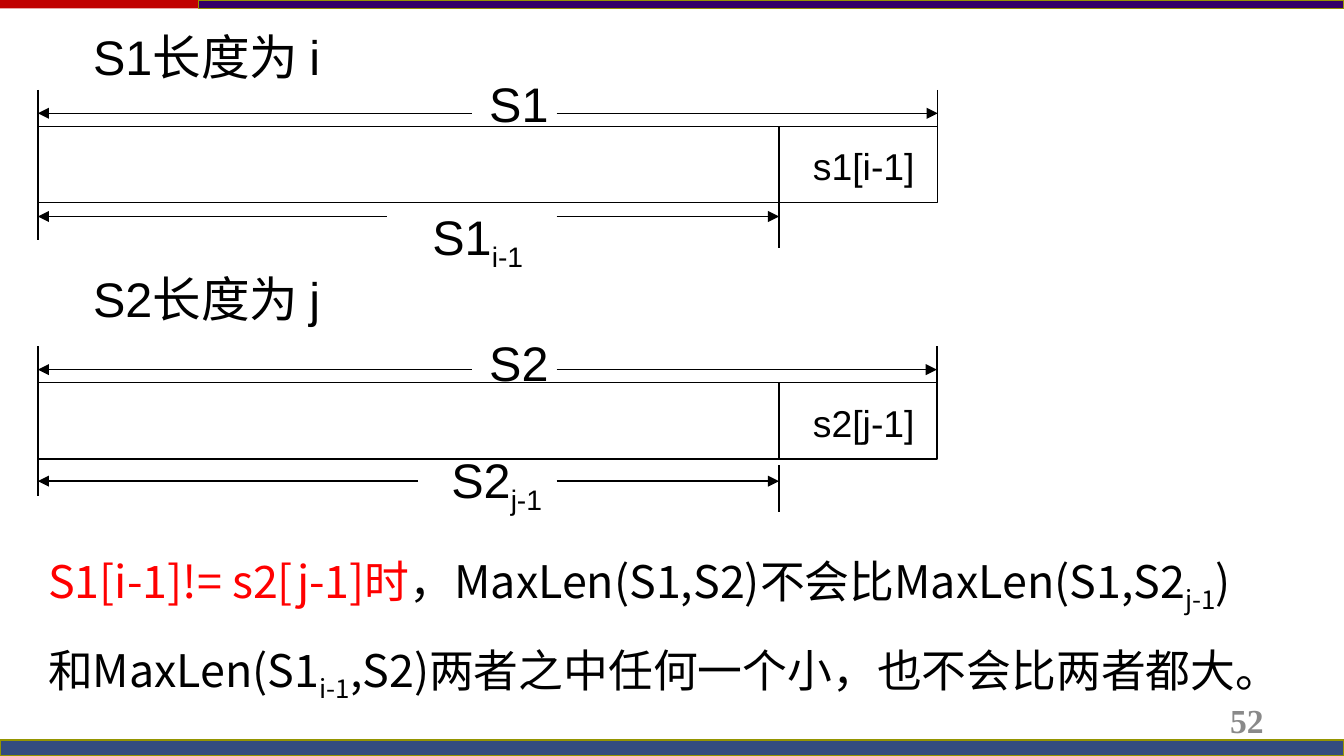
import pptx
import pptx.util
import pptx.dml.color
import pptx.enum.shapes
import pptx.enum.text
import pptx.oxml
import pptx.oxml.ns
import lxml.etree

Pt = pptx.util.Pt
RGB = pptx.dml.color.RGBColor.from_string
Shape = pptx.enum.shapes.MSO_SHAPE
Align = pptx.enum.text.PP_ALIGN
Anchor = pptx.enum.text.MSO_ANCHOR
qn = pptx.oxml.ns.qn

theme = {
    "black": "000000", "red": "FF0000", "gray": "898989", "gold": "959500",
    "crimson": "C00000", "purple": "330066", "navy": "002060",
    "sans": "Arial", "body": "Noto Sans CJK SC", "serif": "Times New Roman",
    "label": 26, "cell": 20, "text": 24, "page": 18, "rule": 0.75,
}


def write(box, lines, size, font):
    frame = slide.shapes.add_textbox(*[Pt(n) for n in box]).text_frame
    frame.word_wrap = True
    for row, parts in enumerate(lines):
        para = frame.add_paragraph() if row else frame.paragraphs[0]
        for words, color, sub in parts:
            run = para.add_run()
            run.text = words
            run.font.size = Pt(size)
            run.font.color.rgb = RGB(theme[color])
            props = run.font._element
            if sub:
                props.set("baseline", "-25000")
            run.font.name = theme[font]
            east = lxml.etree.SubElement(props, qn("a:ea"))
            east.set("typeface", theme["body"])
    return frame


def rule(x1, y1, x2, y2, arrow=False):
    line = slide.shapes.add_connector(
        pptx.enum.shapes.MSO_CONNECTOR.STRAIGHT, Pt(x1), Pt(y1), Pt(x2), Pt(y2))
    line.line.color.rgb = RGB(theme["black"])
    line.line.width = Pt(theme["rule"])
    props = line._element.spPr
    if arrow:
        tail = lxml.etree.SubElement(props.find(qn("a:ln")), qn("a:tailEnd"))
        tail.set("type", "triangle")
    lxml.etree.SubElement(props, qn("a:effectLst"))


deck = pptx.Presentation()
deck.slide_width, deck.slide_height = Pt(720), Pt(405)
slide = deck.slides.add_slide(deck.slide_layouts[6])

bands = [
    (0, 0, 720, 4.5, "crimson", None),
    (106.5, 0, 613.5, 4.5, "purple", "gold"),
    (0, 396.5, 720, 8.5, "navy", "gold"),
]
for x, y, wide, high, color, edge in bands:
    band = slide.shapes.add_shape(Shape.RECTANGLE, Pt(x), Pt(y), Pt(wide), Pt(high))
    band.shadow.inherit = False
    band.fill.solid()
    band.fill.fore_color.rgb = RGB(theme[color])
    if edge:
        band.line.color.rgb = RGB(theme[edge])
        band.line.width = Pt(0)
    else:
        band.line.fill.background()
fill = band._element.spPr.find(qn("a:solidFill"))
alpha = lxml.etree.SubElement(fill[0], qn("a:alpha"))
alpha.set("val", "80000")

page = write((516, 375, 168, 21.5), [[("52", "gray", False)]], theme["page"], "serif")
page.vertical_anchor = Anchor.MIDDLE
page.paragraphs[0].alignment = Align.RIGHT
page.paragraphs[0].runs[0].font.bold = True

left, cut, gap = 20.3, 417.4, 298.2
bars = [
    ("S1", "i", "s1[i-1]", 67.7, 502.4, 10.8, 36, (107.2, 133), 207.3, 116, 224.6, 107.3),
    ("S2", "j", "s2[j-1]", 205, 501.9, 140.4, 175, (249.2, 274.3), 224, 257.8, 234.7, 237.6),
]
for name, size, last, top, right, head, label, drop, stop, low, x, y in bars:
    for start, end in ((left, cut), (cut, right)):
        cell = slide.shapes.add_shape(
            Shape.RECTANGLE, Pt(start), Pt(top), Pt(end - start), Pt(41))
        cell.shadow.inherit = False
        cell.fill.background()
        cell.line.color.rgb = RGB(theme["black"])
        cell.line.width = Pt(theme["rule"])
    for side in (left, right):
        rule(side, top - 19.5, side, top + 6)
    rule(left, top + 36, left, top + 61)
    rule(cut, *[drop[0], cut, drop[1]])
    for level, near, far in ((top - 7, 252.7, right), (low, stop, cut)):
        rule(near, level, left, level, True)
        rule(gap, level, far, level, True)
    write((42.8, head, 335, 21.5), [[(f"{name}长度为 {size}", "black", False)]],
          theme["label"], "sans")
    write((255, label, 73, 21), [[(name, "black", False)]], theme["label"], "sans")
    write((428.4, top + 5.7, 74, 21.5), [[(last, "black", False)]], theme["cell"], "sans")
    write((x, y, 91, 34), [[(name, "black", False), (f"{size}-1", "black", True)]],
          theme["label"], "sans")

note = write((18.7, 293, 708.5, 116.6), [
    [("S1[i-1]!= s2[j-1]时", "red", False),
     ("，MaxLen(S1,S2)不会比MaxLen(S1,S2", "black", False),
     ("j-1", "black", True), (")", "black", False)],
    [("和MaxLen(S1", "black", False), ("i-1", "black", True),
     (",S2)两者之中任何一个小，也不会比两者都大。", "black", False)],
], theme["text"], "body")
note.paragraphs[1].space_before = Pt(15)

deck.save("out.pptx")
